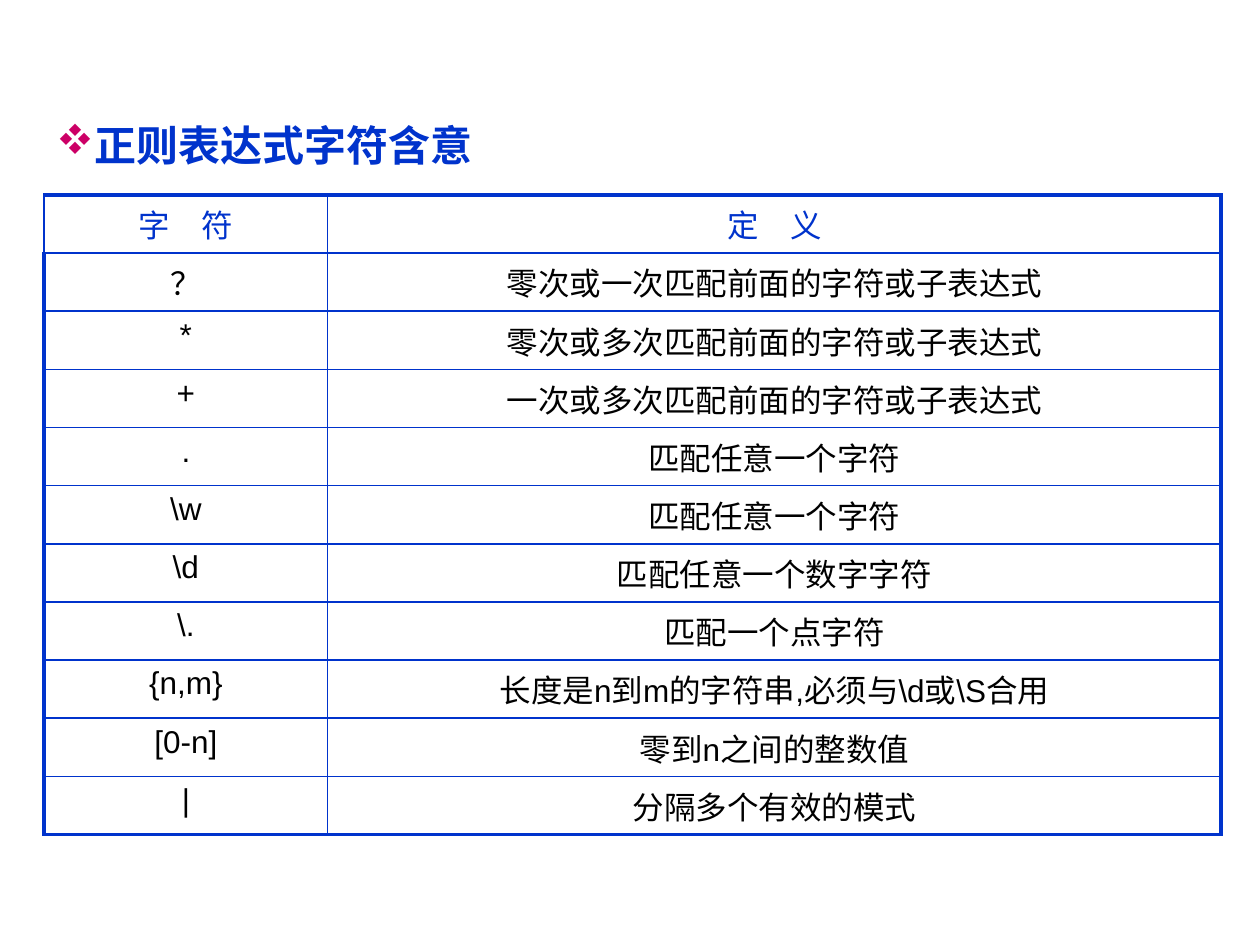
from lxml.etree import SubElement
from pptx import Presentation
from pptx.dml.color import RGBColor
from pptx.enum.text import MSO_ANCHOR, PP_ALIGN
from pptx.oxml.ns import qn
from pptx.util import Pt

COLORS = {"blue": "0033CC", "pink": "CC0066", "black": "000000"}
FONT = "Arial"
THIN, THICK = 1, 2.25

HEADER = ("字　符", "定　义")
DEFINITIONS = [
    ("？", "零次或一次匹配前面的字符或子表达式"),
    ("*", "零次或多次匹配前面的字符或子表达式"),
    ("+", "一次或多次匹配前面的字符或子表达式"),
    (".", "匹配任意一个字符"),
    ("\\w", "匹配任意一个字符"),
    ("\\d", "匹配任意一个数字字符"),
    ("\\.", "匹配一个点字符"),
    ("{n,m}", "长度是n到m的字符串,必须与\\d或\\S合用"),
    ("[0-n]", "零到n之间的整数值"),
    ("|", "分隔多个有效的模式"),
]


def style(paragraph, size, color, bold=False):
    font = paragraph.font
    font.name, font.size, font.bold = FONT, Pt(size), bold
    font.color.rgb = RGBColor.from_string(COLORS[color])


def add_bullet(paragraph, char, color, indent):
    props = paragraph._p.get_or_add_pPr()
    props.set("marL", str(Pt(indent)))
    props.set("indent", str(-Pt(indent)))
    bullet_color = SubElement(props, qn("a:buClr"))
    SubElement(bullet_color, qn("a:srgbClr"), val=COLORS[color])
    SubElement(props, qn("a:buFont"), typeface="Wingdings", charset="2")
    SubElement(props, qn("a:buChar"), char=char)
    # The default run properties must follow the bullet
    props.append(props.find(qn("a:defRPr")))


def set_borders(cell, **widths):
    props = cell._tc.get_or_add_tcPr()
    for side in "LRTB":
        line = SubElement(props, qn(f"a:ln{side}"), w=str(Pt(widths[side])))
        fill = SubElement(line, qn("a:solidFill"))
        SubElement(fill, qn("a:srgbClr"), val=COLORS["blue"])


def add_heading(slide, left, top, width, height):
    heading = slide.shapes.add_textbox(Pt(left), Pt(top), Pt(width), Pt(height))
    frame = heading.text_frame
    frame.word_wrap = True
    frame.vertical_anchor = MSO_ANCHOR.TOP
    frame.margin_top = Pt(2.9)
    frame.text = "正则表达式字符含意"
    title = frame.paragraphs[0]
    style(title, 24, "blue", bold=True)
    # Wingdings draws "v" as a four-diamond bullet
    add_bullet(title, "v", "pink", 21.5)


def add_definitions(slide, left, top, width, row_height):
    rows = [HEADER, *DEFINITIONS]
    table = slide.shapes.add_table(
        len(rows), 2, Pt(left), Pt(top), Pt(width), Pt(row_height * len(rows))
    ).table
    table.first_row = table.horz_banding = False
    symbol_width = 162
    table.columns[0].width = Pt(symbol_width)
    table.columns[1].width = Pt(width - symbol_width)

    last = len(rows) - 1
    for r, texts in enumerate(rows):
        for c, text in enumerate(texts):
            cell = table.cell(r, c)
            cell.text = text
            paragraph = cell.text_frame.paragraphs[0]
            paragraph.alignment = PP_ALIGN.CENTER
            style(paragraph, 18, "blue" if r == 0 else "black")
            # Thick outer frame, thin inner lines and header's left side
            set_borders(
                cell,
                L=THICK if c == 0 and r > 0 else THIN,
                R=THICK if c == 1 else THIN,
                T=THICK if r == 0 else THIN,
                B=THICK if r == last else THIN,
            )
            cell.fill.background()


def main():
    prs = Presentation()
    prs.slide_width, prs.slide_height = Pt(720), Pt(540)
    slide = prs.slides.add_slide(prs.slide_layouts[6])
    add_heading(slide, 25.2, 65.5, 672.5, 62.6)
    add_definitions(slide, 25.2, 111.4, 672.5, 33.25)
    prs.save("out.pptx")


if __name__ == "__main__":
    main()
